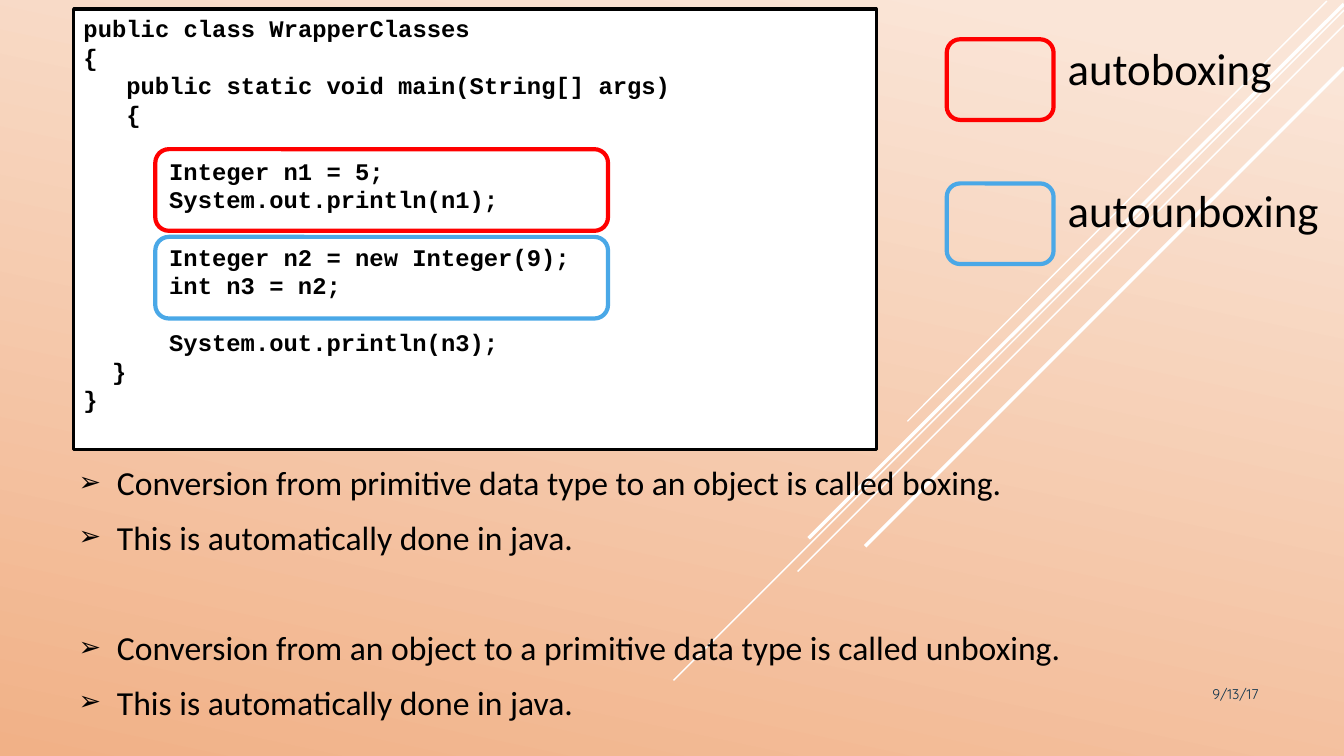
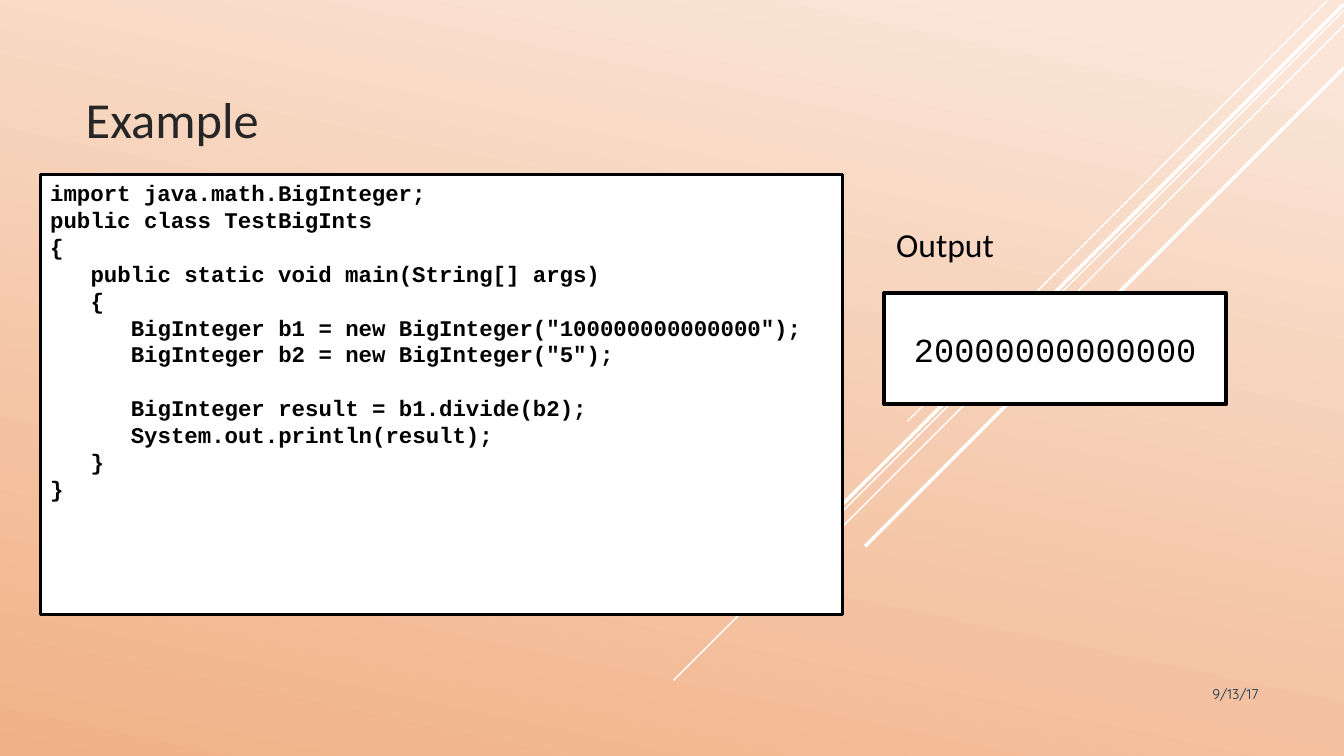
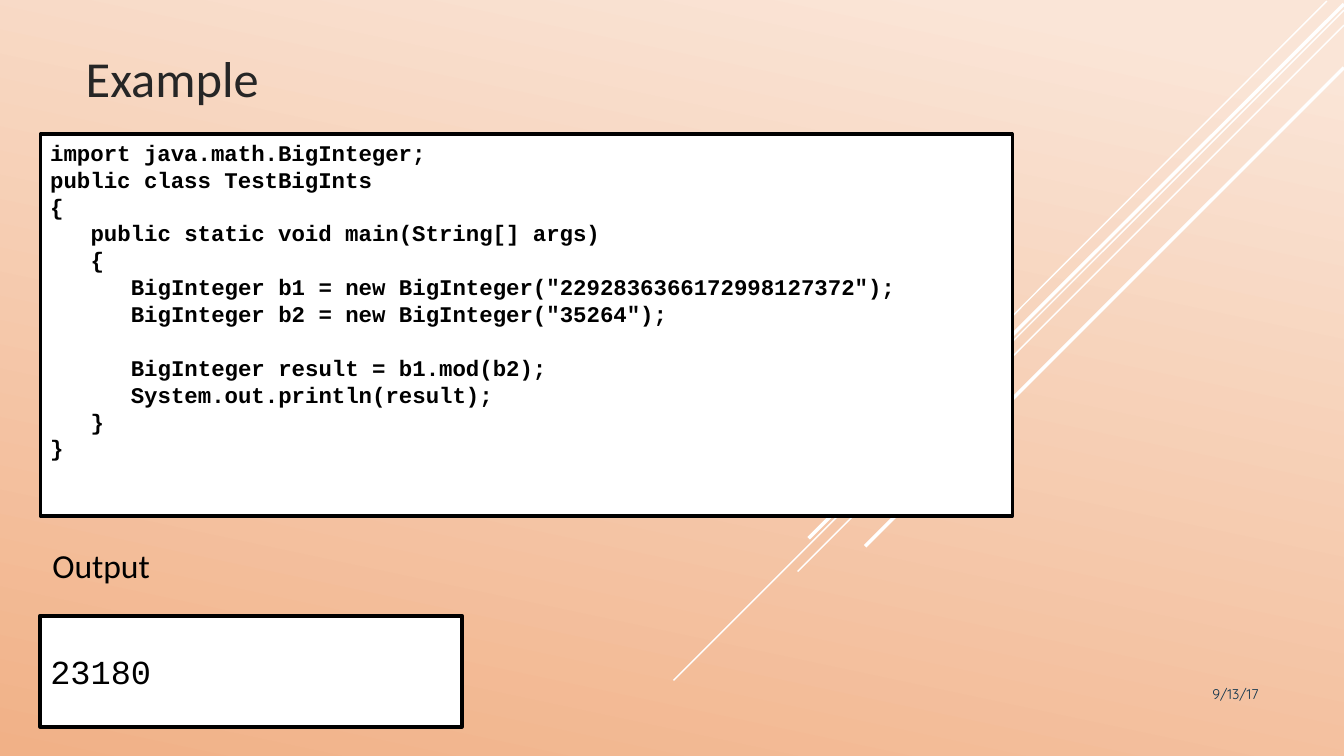
from pptx import Presentation
from pptx import util as u
from pptx.dml.color import RGBColor
from pptx.enum import shapes, text
from pptx.oxml.ns import qn
from lxml import etree

COLORS = {
    "light": "FAE5D7", "dark": "F1B187", "white": "FFFFFF", "black": "000000",
    "title": "262626", "date": "0A304A", "boxing": "FF0000", "unboxing": "4AA8E7",
}
BODY_FONT, CODE_FONT, DATE_FONT = "Calibri", "Courier New", "Quicksand"
ALIGN, ANCHOR = text.PP_ALIGN, text.MSO_ANCHOR

# Diagonal stripes: start x, start y, end x, end y, width in points
STRIPES = [
    (13.16, 0.01, 9, 4.18, 1),
    (13.33, 0.1, 6.68, 6.75, 1),
    (13.33, 0.25, 7.91, 5.67, 1),
    (13.33, 0.04, 8.02, 5.34, 2.5),
    (13.33, 0.67, 8.58, 5.42, 2.5),
]

WRAPPER_CODE = """\
public class WrapperClasses
{
   public static void main(String[] args)
   {

      Integer n1 = 5;
      System.out.println(n1);

      Integer n2 = new Integer(9);
      int n3 = n2;

      System.out.println(n3);
  }
}"""

BIG_INTEGER_CODE = """\
import java.math.BigInteger;
public class TestBigInts
{
   public static void main(String[] args)
   {
      BigInteger b1 = new BigInteger("%s");
      BigInteger b2 = new BigInteger("%s");

      BigInteger result = b1.%s(b2);
      System.out.println(result);
   }
}"""


def rgb(name):
    return RGBColor.from_string(COLORS[name])


def inches(box):
    return [u.Inches(length) for length in box]


def place(shape, box):
    shape.left, shape.top, shape.width, shape.height = inches(box)


def add_run(paragraph, words, size, font=BODY_FONT, color="black", bold=False):
    run = paragraph.add_run()
    run.text = words
    run.font.name, run.font.size, run.font.bold = font, u.Pt(size), bold
    run.font.color.rgb = rgb(color)


def next_paragraph(frame, index):
    return frame.paragraphs[0] if index == 0 else frame.add_paragraph()


# Shared look: gradient and stripes on the master
def style_master(presentation, slide):
    master = presentation.slide_master
    fill = master.background.fill
    fill.gradient()
    fill.gradient_angle = 258
    for stop, name, position in zip(fill.gradient_stops, ("light", "dark"), (0.07, 1)):
        stop.color.rgb = rgb(name)
        stop.position = position
    for number, (*ends, width) in enumerate(STRIPES):
        stripe = slide.shapes.add_connector(shapes.MSO_CONNECTOR.STRAIGHT, *inches(ends))
        stripe.line.color.rgb = rgb("white")
        stripe.line.width = u.Pt(width)
        etree.SubElement(stripe.element.spPr, qn("a:effectLst"))
        stripe.element.nvCxnSpPr.cNvPr.id = 100 + number
        master.shapes.element.append(stripe.element)


def add_text_box(slide, box):
    frame = slide.shapes.add_textbox(*inches(box)).text_frame
    frame.word_wrap = True
    return frame


def add_date(slide):
    paragraph = add_text_box(slide, (10.83, 6.75, 1.75, 0.4)).paragraphs[0]
    paragraph.alignment = ALIGN.RIGHT
    add_run(paragraph, "9/13/17", 10, DATE_FONT, "date")


def add_outline(slide, box, color, width=3, kind=shapes.MSO_SHAPE.ROUNDED_RECTANGLE):
    shape = slide.shapes.add_shape(kind, *inches(box))
    shape.shadow.inherit = False
    shape.fill.background()
    shape.line.color.rgb = rgb(color)
    shape.line.width = u.Pt(width)
    return shape


def add_panel(slide, box, width, anchor):
    panel = add_outline(slide, box, "black", width, shapes.MSO_SHAPE.RECTANGLE)
    panel.fill.solid()
    panel.fill.fore_color.rgb = rgb("white")
    panel.text_frame.word_wrap = True
    panel.text_frame.vertical_anchor = anchor
    return panel.text_frame


# Code lines: leading blanks become indents, empty lines become spacing
def add_code(slide, box, code, size):
    frame = add_panel(slide, box, 2.25, ANCHOR.TOP)
    line_height = u.Pt(size * 1.2)
    index, gap = 0, 0
    for line in code.splitlines():
        words = line.lstrip()
        if not words:
            gap = line_height
            continue
        paragraph = next_paragraph(frame, index)
        paragraph.alignment = ALIGN.LEFT
        paragraph.line_spacing = line_height
        paragraph.space_before = gap
        indent = u.Pt((len(line) - len(words)) * size * 0.6)
        paragraph._p.get_or_add_pPr().set("marL", str(indent))
        add_run(paragraph, words, size, CODE_FONT, bold=True)
        index, gap = index + 1, 0


def add_bullet(paragraph):
    properties = paragraph._p.get_or_add_pPr()
    properties.set("marL", str(u.Inches(0.38)))
    properties.set("indent", str(-u.Inches(0.38)))
    color = etree.SubElement(properties, qn("a:buClr"))
    etree.SubElement(color, qn("a:srgbClr"), val=COLORS["black"])
    etree.SubElement(properties, qn("a:buSzPct"), val="80000")
    etree.SubElement(properties, qn("a:buChar"), char="➢")


# Spaced lines; those whose index is in `after_gap` follow one free line
def add_lines(frame, lines, size, bullets=False, after_gap=()):
    for index, words in enumerate(lines):
        paragraph = next_paragraph(frame, index)
        paragraph.alignment = ALIGN.JUSTIFY
        free_line = size * 1.4 + 6 if index in after_gap else 0
        paragraph.space_before = u.Pt(size * 0.18 + free_line)
        paragraph.space_after = u.Pt(6)
        if bullets:
            add_bullet(paragraph)
        add_run(paragraph, words, size)


def build_boxing_slide(slide):
    title = slide.shapes.title.element
    title.getparent().remove(title)
    add_code(slide, (0.73, 0.09, 7.96, 4.37), WRAPPER_CODE, 17)
    add_date(slide)

    body = slide.placeholders[1]
    place(body, (0.68, 4.53, 10.54, 2.81))
    body.text_frame.auto_size = text.MSO_AUTO_SIZE.NONE
    automatic = "This is automatically done in java."
    add_lines(body.text_frame, [
        "Conversion from primitive data type to an object is called boxing.", automatic,
        "Conversion from an object to a primitive data type is called unboxing.", automatic,
    ], 24, bullets=True, after_gap=(2,))

    # Marks in the code and their legend
    for color, code_top, legend_top in (("boxing", 1.48, 0.39), ("unboxing", 2.35, 1.82)):
        add_outline(slide, (1.54, code_top, 4.49, 0.81), color)
        add_outline(slide, (9.39, legend_top, 1.06, 0.8), color)
    legend = add_text_box(slide, (10.49, 0.36, 2.91, 2.26))
    add_lines(legend, ["autoboxing", "autounboxing"], 32, after_gap=(1,))


def build_example_slide(slide, title_top, code_box, code, label_at, output_box, output, align):
    title = slide.shapes.title
    place(title, (0.75, title_top, 8.75, 1.03))
    title.text_frame.vertical_anchor = ANCHOR.BOTTOM
    title.text_frame.paragraphs[0].alignment = ALIGN.LEFT
    add_run(title.text_frame.paragraphs[0], "Example", 36, color="title")

    add_code(slide, code_box, code, 16)
    add_date(slide)
    add_lines(add_text_box(slide, (*label_at, 1.29, 0.59)), ["Output"], 24)
    paragraph = add_panel(slide, output_box, 3, ANCHOR.MIDDLE).paragraphs[0]
    paragraph.alignment = align
    add_run(paragraph, output, 24, CODE_FONT)


def main():
    presentation = Presentation()
    presentation.slide_width, presentation.slide_height = u.Inches(13.33), u.Inches(7.5)
    boxing, divide, mod = [
        presentation.slides.add_slide(presentation.slide_layouts[layout])
        for layout in (1, 5, 5)
    ]
    style_master(presentation, boxing)
    build_boxing_slide(boxing)
    build_example_slide(
        divide, 0.49, (0.4, 1.73, 7.96, 4.37),
        BIG_INTEGER_CODE % ("100000000000000", "5", "divide"),
        (8.79, 2.17), (8.77, 2.91, 3.39, 1.1), "20000000000000", ALIGN.CENTER)
    build_example_slide(
        mod, 0.09, (0.4, 1.33, 9.64, 3.79),
        BIG_INTEGER_CODE % ("2292836366172998127372", "35264", "mod"),
        (0.42, 5.36), (0.4, 6.11, 4.18, 1.1), "23180", ALIGN.LEFT)
    presentation.save("out.pptx")


if __name__ == "__main__":
    main()
